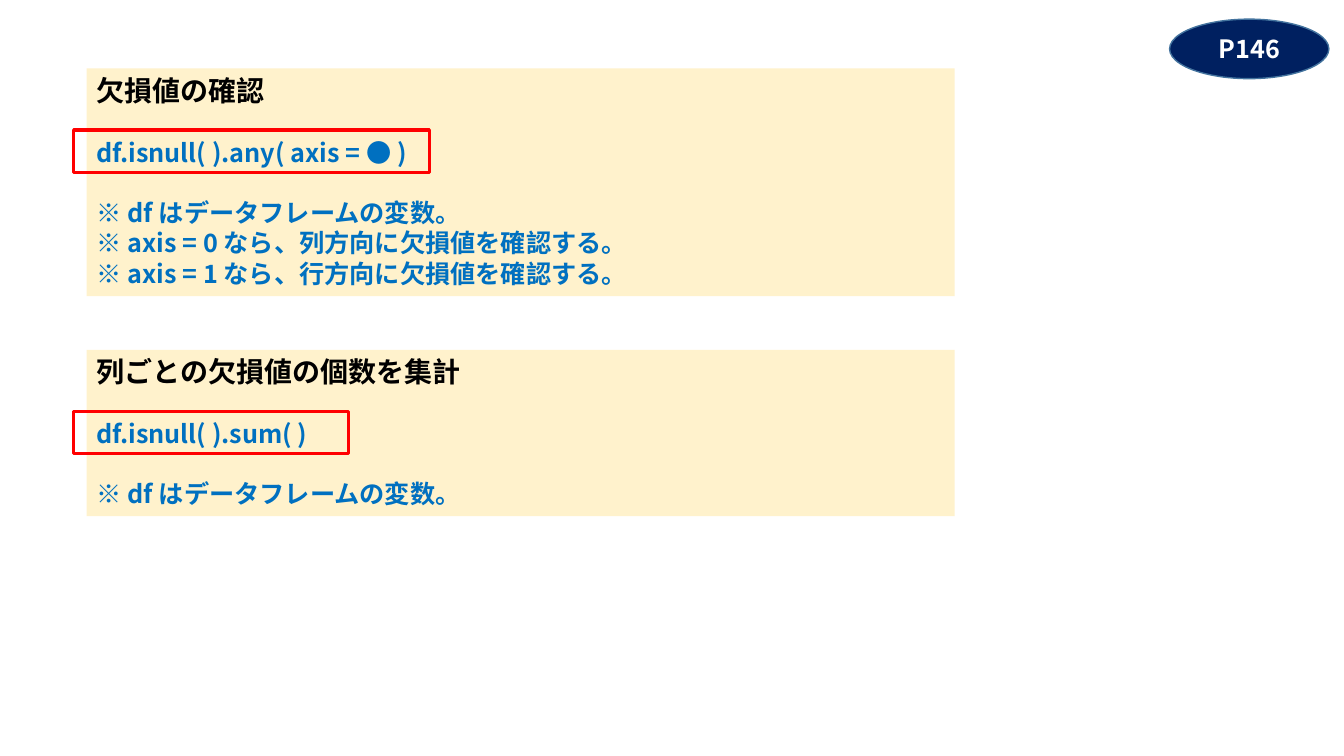
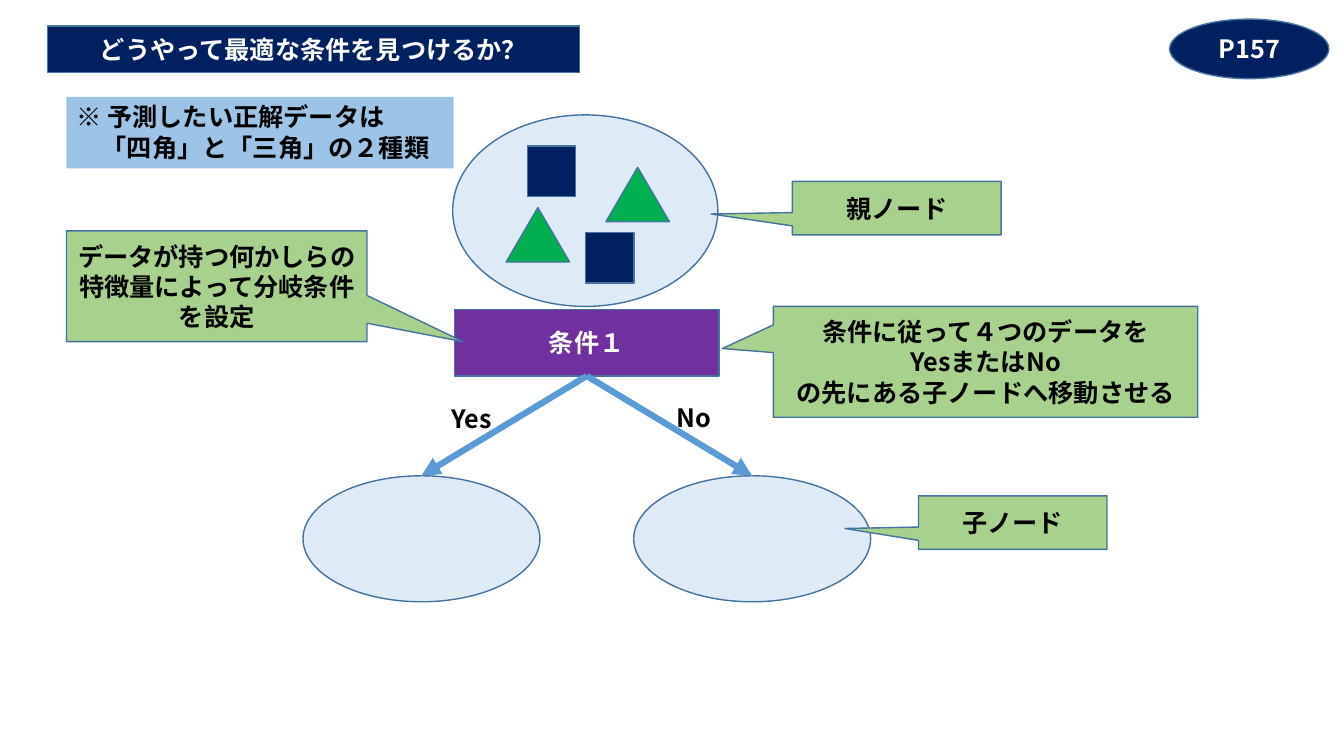
from lxml import etree
from pptx import Presentation
from pptx.dml.color import RGBColor
from pptx.enum import shapes as sh, text as tx
from pptx.oxml import ns
from pptx.util import Inches, Pt

FONT = "Noto Sans CJK JP"
BLACK = RGBColor(0, 0, 0)
WHITE = RGBColor(0xFF, 0xFF, 0xFF)
NAVY = RGBColor(0x00, 0x20, 0x60)
EDGE = RGBColor(0x43, 0x73, 0x9E)
CREAM = RGBColor(0xFF, 0xF2, 0xCC)
BLUE = RGBColor(0x00, 0x70, 0xC0)
SKY = RGBColor(0x9D, 0xC3, 0xE6)
PALE = RGBColor(0xDE, 0xEB, 0xF7)
ARROW = RGBColor(0x5B, 0x9B, 0xD5)
RED = RGBColor(0xFF, 0, 0)
GREEN = RGBColor(0x00, 0xB0, 0x50)
LIME = RGBColor(0xA9, 0xD1, 0x8E)
PURPLE = RGBColor(0x70, 0x30, 0xA0)

KIND = sh.MSO_SHAPE
MID = tx.MSO_ANCHOR.MIDDLE
TOP = tx.MSO_ANCHOR.TOP
MIDDLE = tx.PP_ALIGN.CENTER
LEFT = tx.PP_ALIGN.LEFT


def apply(item, form):
    for key, value in form.items():
        setattr(item, key, value)


def write(shape, lines, color=BLACK, align=MIDDLE, anchor=MID):
    frame = shape.text_frame
    apply(frame, {"word_wrap": True, "vertical_anchor": anchor})
    for i, line in enumerate(lines):
        para = frame.paragraphs[0] if i == 0 else frame.add_paragraph()
        apply(para, {"alignment": align, "line_spacing": 1.0})
        run = para.add_run()
        run.text = line
        apply(run.font, {"size": Pt(18), "bold": True, "name": FONT})
        run.font.color.rgb = color
        etree.SubElement(run.font._element, ns.qn("a:ea"), typeface=FONT)
    return frame.paragraphs


def paint(shape, fill=None, line=EDGE, width=1):
    if fill is None:
        shape.fill.background()
    else:
        shape.fill.solid()
        shape.fill.fore_color.rgb = fill
    if line is None:
        shape.line.fill.background()
    else:
        shape.line.color.rgb = line
        shape.line.width = Pt(width)


def draw(parts, kind, box, fill=None, line=EDGE, width=1):
    shape = parts.add_shape(kind, *map(Inches, box))
    shape.shadow.inherit = False
    paint(shape, fill, line, width)
    return shape


def badge(slide, label):
    oval = draw(slide.shapes, KIND.OVAL, (11.6, 0.19, 1.58, 0.59), NAVY)
    write(oval, [label], WHITE)


def banner(slide, label, box):
    title = slide.shapes.title
    apply(title, dict(zip(("left", "top", "width", "height"), map(Inches, box))))
    shape = etree.SubElement(title._element.spPr, ns.qn("a:prstGeom"), prst="homePlate")
    etree.SubElement(shape, ns.qn("a:avLst"))
    paint(title, NAVY)
    write(title, [label], WHITE)


def panel(slide, box, head, code, notes, span):
    left, top = box[:2]
    card = draw(slide.shapes, KIND.RECTANGLE, box, CREAM, None)
    paras = write(card, [head, code, *notes], BLUE, LEFT, TOP)
    font = paras[0].runs[0].font
    font.size = Pt(20)
    font.color.rgb = BLACK
    for para in paras[1:3]:
        para.space_before = Pt(21.5)
    draw(slide.shapes, KIND.RECTANGLE, (left - 0.13, top + 0.61, span, 0.42),
         None, RED, 2.25)


def parent(slide, box):
    left, top = box[:2]
    parts = slide.shapes.add_group_shape().shapes
    draw(parts, KIND.OVAL, box, PALE)
    for x, y in ((0.74, 0.31), (1.32, 1.17)):
        draw(parts, KIND.RECTANGLE, (left + x, top + y, 0.48, 0.5), NAVY)
    for x, y in ((1.52, 0.52), (0.53, 0.92)):
        draw(parts, KIND.ISOSCELES_TRIANGLE, (left + x, top + y, 0.63, 0.54), GREEN)


def branch(slide, box):
    left, top, width, height = box
    rule = draw(slide.shapes, KIND.RECTANGLE, box, PURPLE)
    write(rule, ["条件１"], WHITE)
    mid, base = left + width / 2, top + height
    wide = 2.35
    for side, label, x, y in ((-1, "Yes", -1.44, 0.22), (1, "No", 0.79, 0.21)):
        spot = (mid + side * 1.64 - wide / 2, base + 0.99, wide, 1.25)
        child = draw(slide.shapes, KIND.OVAL, spot, PALE)
        link = slide.shapes.add_connector(sh.MSO_CONNECTOR.STRAIGHT, 0, 0, 0, 0)
        link.begin_connect(rule, 2)
        link.end_connect(child, 0)
        link.line.color.rgb = ARROW
        link.line.width = Pt(4.5)
        etree.SubElement(link.line._get_or_add_ln(), ns.qn("a:tailEnd"), type="triangle")
        etree.SubElement(link._element.spPr, ns.qn("a:effectLst"))
        note = slide.shapes.add_textbox(*map(Inches, (mid + x, base + y, 0.77, 0.4)))
        write(note, [label], align=LEFT, anchor=TOP)


def callout(slide, box, tip, lines):
    bubble = draw(slide.shapes, KIND.RECTANGULAR_CALLOUT, box, LIME)
    for i, value in enumerate(tip):
        bubble.adjustments[i] = value
    write(bubble, lines)


def missing(deck):
    slide = deck.slides.add_slide(deck.slide_layouts[6])
    frame = "※ df はデータフレームの変数。"
    panel(slide, (0.86, 0.68, 8.61, 2.26), "欠損値の確認",
          "df.isnull( ).any( axis = ● )",
          [frame,
           "※ axis = 0 なら、列方向に欠損値を確認する。",
           "※ axis = 1 なら、行方向に欠損値を確認する。"], 3.53)
    panel(slide, (0.86, 3.47, 8.61, 1.65), "列ごとの欠損値の個数を集計",
          "df.isnull( ).sum( )", [frame], 2.73)
    badge(slide, "P146")


def tree(deck):
    slide = deck.slides.add_slide(deck.slide_layouts[5])
    banner(slide, "どうやって最適な条件を見つけるか？", (0.47, 0.26, 5.28, 0.46))
    parent(slide, (4.49, 1.14, 2.63, 1.9))
    branch(slide, (4.51, 3.07, 2.62, 0.66))
    note = draw(slide.shapes, KIND.RECTANGLE, (0.66, 0.96, 3.84, 0.71), SKY, None)
    write(note, ["※ 予測したい正解データは", "　「四角」と「三角」の２種類"],
          align=LEFT, anchor=TOP)
    node = (-0.89, 0.11)
    for box, tip, lines in (
        ((7.86, 1.8, 2.07, 0.53), node, ["親ノード"]),
        ((9.11, 4.92, 1.87, 0.53), node, ["子ノード"]),
        ((0.66, 2.29, 2.98, 1.1), (0.82, 0.5),
         ["データが持つ何かしらの特徴量によって分岐条件を設定"]),
        ((7.67, 3.04, 4.21, 1.1), (-0.62, -0.12),
         ["条件に従って４つのデータを", "YesまたはNo",
          "の先にある子ノードへ移動させる"]),
    ):
        callout(slide, box, tip, lines)
    badge(slide, "P157")


def main():
    deck = Presentation()
    apply(deck, {"slide_width": Inches(13.33), "slide_height": Inches(7.5)})
    missing(deck)
    tree(deck)
    deck.save("out.pptx")


if __name__ == "__main__":
    main()
